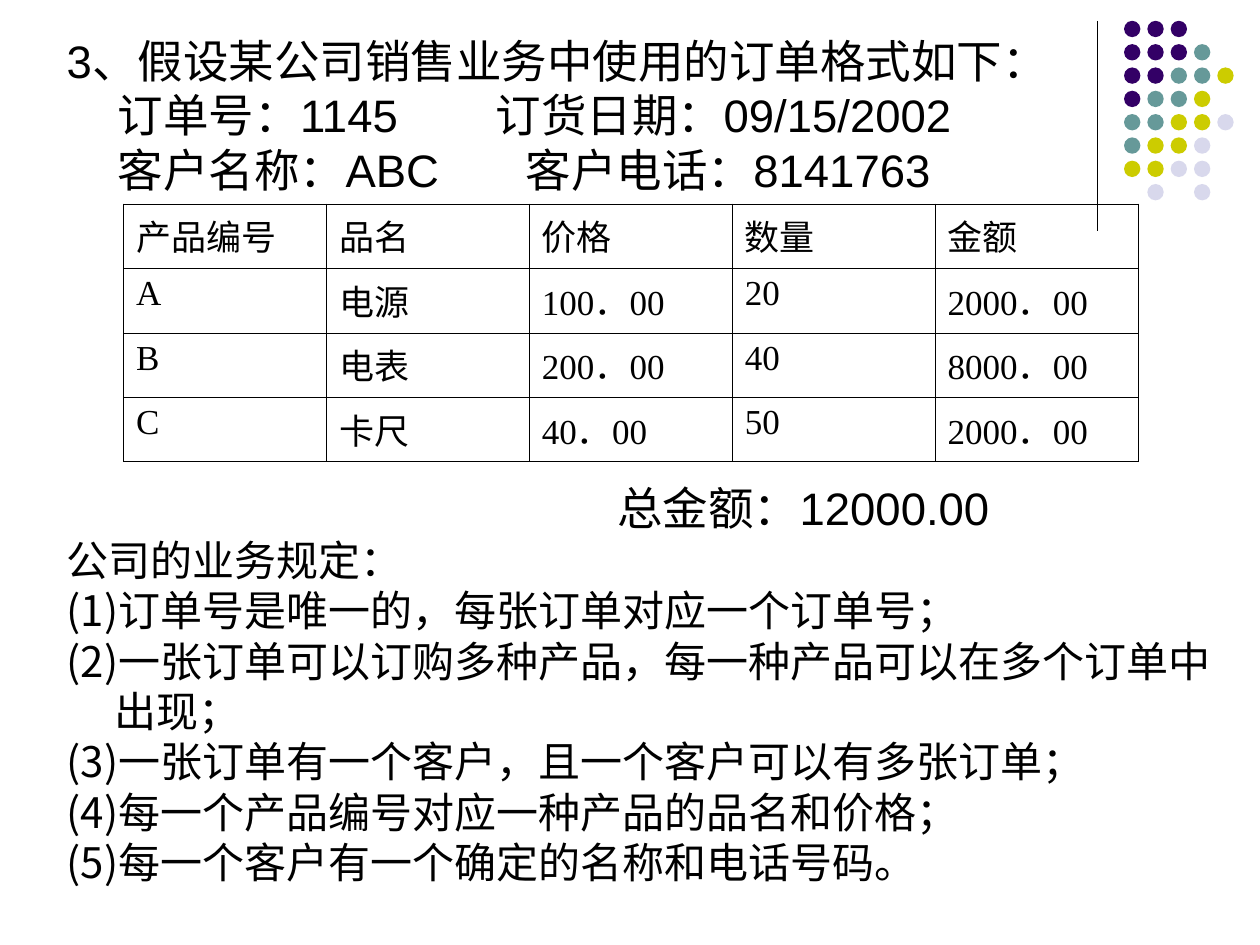
"""Builds a slide with an order form, its product table and the business rules."""
from lxml.etree import SubElement
from pptx import Presentation
from pptx.dml.color import RGBColor
from pptx.enum.shapes import MSO_CONNECTOR, MSO_SHAPE
from pptx.enum.text import MSO_AUTO_SIZE
from pptx.oxml import parse_xml
from pptx.oxml.ns import nsdecls, qn
from pptx.util import Cm, Pt

HUES = {"ink": "000000", "P": "330066", "T": "669999", "Y": "CCCC00", "L": "D8D8EC"}
SANS, HAN, SERIF = "Arial", "Noto Sans CJK SC", "Times New Roman"
DOTS = ["PPP", "PPPT", "PPTTY", "PTTY", "TTYYL", "TYYL", "YYLL", " L L"]
HANG = 0.97
ORDER = [
    ("3、假设某公司销售业务中使用的订单格式如下：", HANG, -HANG, 0),
    ("订单号：1145\t\t订货日期：09/15/2002", 1.03, 0, 0),
    ("客户名称：ABC\t\t客户电话：8141763", 1.63, -0.6, 0),
    ("总金额：12000.00", 11.1, 0, 162),
]
RULES = [
    "公司的业务规定：",
    "(1)订单号是唯一的，每张订单对应一个订单号；",
    "(2)一张订单可以订购多种产品，每一种产品可以在多个订单中出现；",
    "(3)一张订单有一个客户，且一个客户可以有多张订单；",
    "(4)每一个产品编号对应一种产品的品名和价格；",
    "(5)每一个客户有一个确定的名称和电话号码。",
]
GOODS = [
    ["产品编号", "品名", "价格", "数量", "金额"],
    ["A", "电源", "100．00", "20", "2000．00"],
    ["B", "电表", "200．00", "40", "8000．00"],
    ["C", "卡尺", "40．00", "50", "2000．00"],
]


class Page:
    """Holds the style and the current slide."""

    def __init__(self, deck):
        self.slide = deck.slides.add_slide(deck.slide_layouts[1])
        title = self.slide.shapes.title
        title.element.getparent().remove(title.element)
        self.shapes = self.slide.shapes

    def hue(self, key):
        return RGBColor.from_string(HUES[key])

    def font(self, para, name, size):
        font = para.font
        font.name, font.size, font.bold = name, Pt(size), False
        font.color.rgb = self.hue("ink")
        base = para._p.pPr.find(qn("a:defRPr"))
        SubElement(base, qn("a:ea")).set("typeface", HAN)

    def rule(self, x, top, end):
        line = self.shapes.add_connector(
            MSO_CONNECTOR.STRAIGHT, Cm(x), Cm(top), Cm(x), Cm(end))
        line.line.color.rgb = self.hue("ink")
        line.line.width = Pt(0.75)
        SubElement(line._element.spPr, qn("a:effectLst"))

    def dots(self, left, top, step, size):
        group = self.shapes.add_group_shape()
        for row, keys in enumerate(DOTS):
            for col, key in enumerate(keys):
                if key == " ":
                    continue
                dot = group.shapes.add_shape(
                    MSO_SHAPE.OVAL, Cm(left + col * step), Cm(top + row * step),
                    Cm(size), Cm(size))
                dot.shadow.inherit = False
                dot.fill.solid()
                dot.fill.fore_color.rgb = self.hue(key)
                dot.line.fill.background()

    def body(self, left, top, width, height):
        box = self.slide.placeholders[1]
        box.left, box.top, box.width, box.height = map(Cm, (left, top, width, height))
        self.frame = box.text_frame
        self.frame.word_wrap = True
        self.frame.auto_size = MSO_AUTO_SIZE.NONE
        self.fresh = True

    def para(self, text, name, size, left=HANG, first=-HANG, gap=0):
        para = self.frame.paragraphs[0] if self.fresh else self.frame.add_paragraph()
        self.fresh = False
        para.text = text
        para.space_before, para.space_after = Pt(gap), Pt(0)
        props = para._p.get_or_add_pPr()
        props.set("marL", str(Cm(left)))
        props.set("indent", str(Cm(first)))
        SubElement(props, qn("a:buNone"))
        self.font(para, name, size)

    def edge(self, cell):
        props = cell._tc.get_or_add_tcPr()
        for spot, side in enumerate(("lnL", "lnR", "lnT", "lnB")):
            props.insert(spot, parse_xml(
                f'<a:{side} {nsdecls("a")} w="{Pt(0.45)}"><a:solidFill>'
                f'<a:srgbClr val="{HUES["ink"]}"/></a:solidFill></a:{side}>'))

    def table(self, data, left, top, wide, high):
        rows, cols = len(data), len(data[0])
        grid = self.shapes.add_table(
            rows, cols, Cm(left), Cm(top), Cm(wide * cols), Cm(high * rows)).table
        grid.first_row = grid.horz_banding = False
        for r, line in enumerate(data):
            for c, text in enumerate(line):
                cell = grid.cell(r, c)
                cell.text = text
                cell.fill.background()
                self.edge(cell)
                self.font(cell.text_frame.paragraphs[0], SERIF, 20)


def main():
    deck = Presentation()
    deck.slide_width, deck.slide_height = Cm(25.4), Cm(19.05)
    page = Page(deck)
    page.rule(22.12, 0.42, 4.65)
    page.dots(22.66, 0.42, 0.47, 0.33)
    page.body(1.09, 0.53, 24.31, 17.8)
    for text, left, first, gap in ORDER:
        page.para(text, SANS, 26, left, first, gap)
    for text in RULES:
        page.para(text, HAN, 24)
    page.table(GOODS, 2.49, 4.11, 4.09, 1.3)
    deck.save("out.pptx")


if __name__ == "__main__":
    main()
